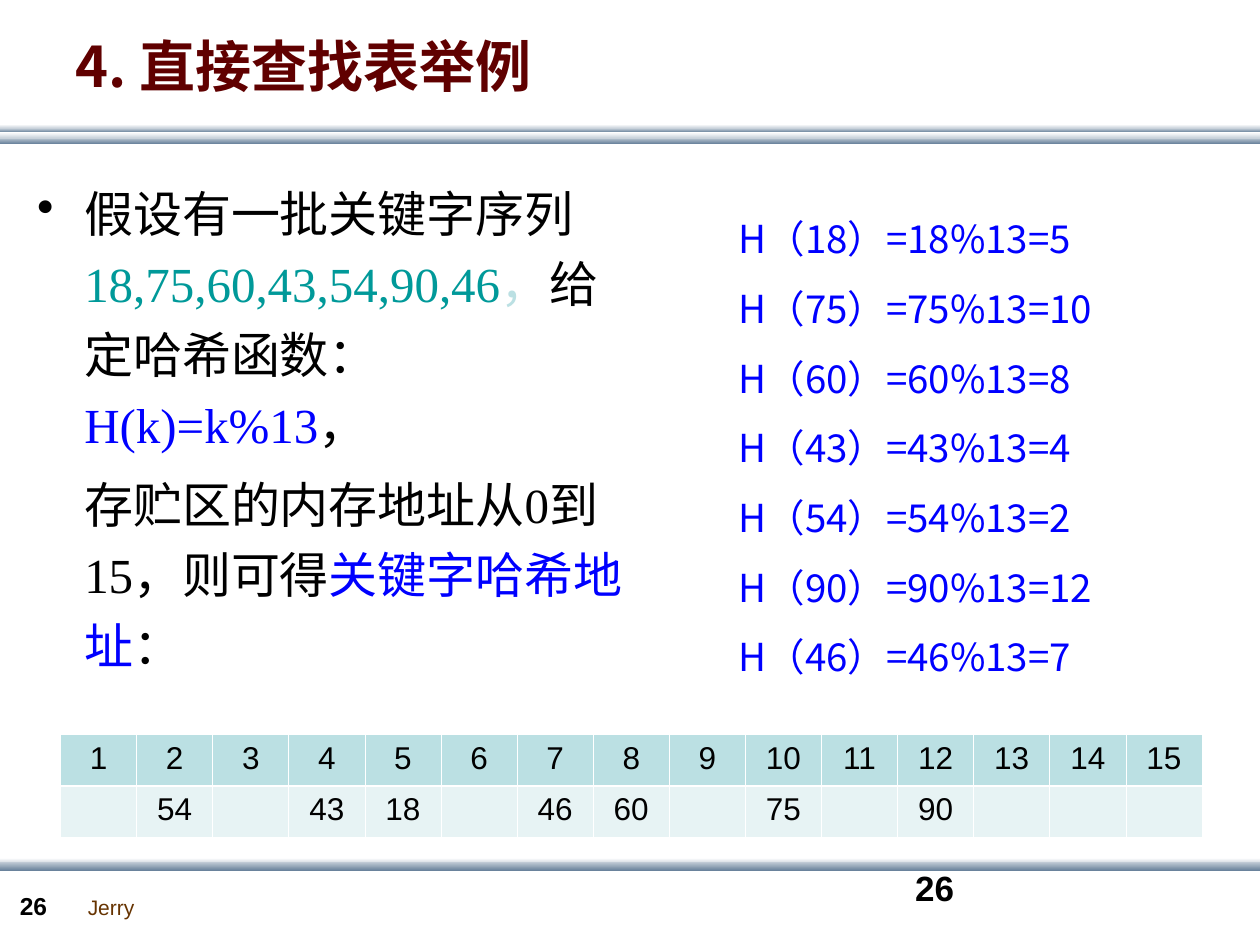
"""Build the slide on a direct lookup table with its hash addresses."""
from lxml import etree
from pptx import Presentation
from pptx import util as u
from pptx.dml.color import RGBColor
from pptx.enum import shapes, text
from pptx.oxml.ns import qn

BLACK = RGBColor(0x00, 0x00, 0x00)
WHITE = RGBColor(0xFF, 0xFF, 0xFF)
MAROON = RGBColor(0x60, 0x00, 0x00)
BROWN = RGBColor(0x66, 0x33, 0x00)
BLUE = RGBColor(0x00, 0x00, 0xFF)
TEAL = RGBColor(0x00, 0x99, 0x99)
PALE_TEAL = RGBColor(0xBB, 0xE0, 0xE3)
MIST = RGBColor(0xE7, 0xF3, 0xF4)
SILVER = RGBColor(0xC8, 0xD1, 0xDA)
STEEL = RGBColor(0x6A, 0x83, 0x9C)

ARIAL = "Arial"
TIMES = "Times New Roman"
NOTO = "Noto Sans CJK SC"

MODULUS = 13
KEYS = [18, 75, 60, 43, 54, 90, 46]
ADDRESSES = range(1, 16)


def write(paragraph, words, size=18, font=ARIAL, color=BLACK, bold=False):
    run = paragraph.add_run()
    run.text = words
    run.font.size = u.Pt(size)
    run.font.name = font
    run.font.bold = bold
    run.font.color.rgb = color
    etree.SubElement(run.font._element, qn("a:ea"), typeface=NOTO)


class LookupSlide:
    def __init__(self, deck):
        self.slide = deck.slides.add_slide(deck.slide_layouts[6])
        self.width = deck.slide_width

    def band(self, top, height, upper, lower):
        bar = self.slide.shapes.add_shape(
            shapes.MSO_SHAPE.RECTANGLE, 0, u.Cm(top), self.width, u.Cm(height))
        bar.shadow.inherit = False
        bar.line.fill.background()
        bar.fill.gradient()
        bar.fill.gradient_angle = 270
        for stop, color in zip(bar.fill.gradient_stops, (upper, lower)):
            stop.color.rgb = color

    def box(self, left, top, width, height, wrap=True):
        frame = self.slide.shapes.add_textbox(
            u.Cm(left), u.Cm(top), u.Cm(width), u.Cm(height)).text_frame
        frame.word_wrap = wrap
        return frame

    def label(self, words, place, wrap=True, middle=False, **style):
        frame = self.box(*place, wrap=wrap)
        if middle:
            frame.vertical_anchor = text.MSO_ANCHOR.MIDDLE
        write(frame.paragraphs[0], words, **style)

    def passage(self, place, paragraphs, spacing, before, margin, bullet=False, **style):
        frame = self.box(*place)
        for index, parts in enumerate(paragraphs):
            line = frame.add_paragraph() if index else frame.paragraphs[0]
            line.line_spacing = spacing
            if index:
                line.space_before = u.Pt(before)
            properties = line._p.get_or_add_pPr()
            properties.set("marL", str(u.Cm(margin)))
            hanging = bullet and index == 0
            properties.set("indent", str(-u.Cm(margin) if hanging else 0))
            if hanging:
                etree.SubElement(properties, qn("a:buChar"), char="•")
            for words, color in parts:
                write(line, words, color=color, **style)

    def border(self, cell, widths):
        properties = cell._tc.get_or_add_tcPr()
        for side, points in widths.items():
            edge = etree.SubElement(
                properties, qn(f"a:ln{side}"), w=str(u.Pt(points)))
            paint = etree.SubElement(edge, qn("a:solidFill"))
            etree.SubElement(paint, qn("a:srgbClr"), val=str(WHITE))

    def table(self, left, top, width, height, rows, fills):
        grid = self.slide.shapes.add_table(
            len(rows), len(rows[0]), u.Cm(left), u.Cm(top),
            u.Cm(width), u.Cm(height)).table
        for r, (row, fill) in enumerate(zip(rows, fills)):
            for c, value in enumerate(row):
                cell = grid.cell(r, c)
                self.border(cell, {"L": 0.45, "R": 0.45,
                                   "T": 1.47 if r else 0.45,
                                   "B": 0.45 if r else 1.47})
                cell.fill.solid()
                cell.fill.fore_color.rgb = fill
                if value != "":
                    entry = cell.text_frame.paragraphs[0]
                    entry.alignment = text.PP_ALIGN.CENTER
                    write(entry, str(value))


def main():
    deck = Presentation()
    deck.slide_width, deck.slide_height = u.Cm(25.4), u.Cm(19.05)
    page = LookupSlide(deck)

    page.band(2.77, 0.13, SILVER, STEEL)
    page.band(2.59, 0.08, SILVER, STEEL)
    page.band(2.67, 0.12, WHITE, SILVER)
    page.band(2.51, 0.08, WHITE, SILVER)
    page.band(17.3, 0.12, WHITE, SILVER)
    page.band(17.37, 0.18, SILVER, STEEL)

    page.label("Jerry", (1.52, 17.9, 1.45, 0.76), wrap=False, size=12, color=BROWN)
    page.label("26", (0.15, 17.83, 1.4, 0.86), size=14, bold=True)
    page.label("26", (18.2, 17.35, 5.92, 1.27), size=20, bold=True)
    page.label("4. 直接查找表举例", (1.27, 0.43, 22.86, 1.75), middle=True,
               size=32, font=NOTO, color=MAROON, bold=True)

    problem = [
        [("假设有一批关键字序列", BLACK), (",".join(map(str, KEYS)), TEAL),
         ("，", PALE_TEAL), ("给定哈希函数：", BLACK),
         (f"H(k)=k%{MODULUS}", BLUE), ("，", BLACK)],
        [("存贮区的内存地址从0到15，则可得", BLACK),
         ("关键字哈希地址", BLUE), ("：", BLACK)],
    ]
    page.passage((0.5, 3.33, 12.4, 10.8), problem, spacing=1.2, before=5,
                 margin=0.95, bullet=True, size=28, font=TIMES)

    hashes = [[(f"H（{key}）={key}%{MODULUS}={key % MODULUS}", BLUE)] for key in KEYS]
    page.passage((14.3, 3.94, 9.6, 10.6), hashes, spacing=1.3, before=5.5,
                 margin=0.34, size=22, font=NOTO)

    stored = {key % MODULUS: key for key in KEYS}
    page.table(1.22, 14.81, 23.01, 2.06,
               [list(ADDRESSES), [stored.get(address, "") for address in ADDRESSES]],
               [PALE_TEAL, MIST])

    deck.save("out.pptx")


if __name__ == "__main__":
    main()
